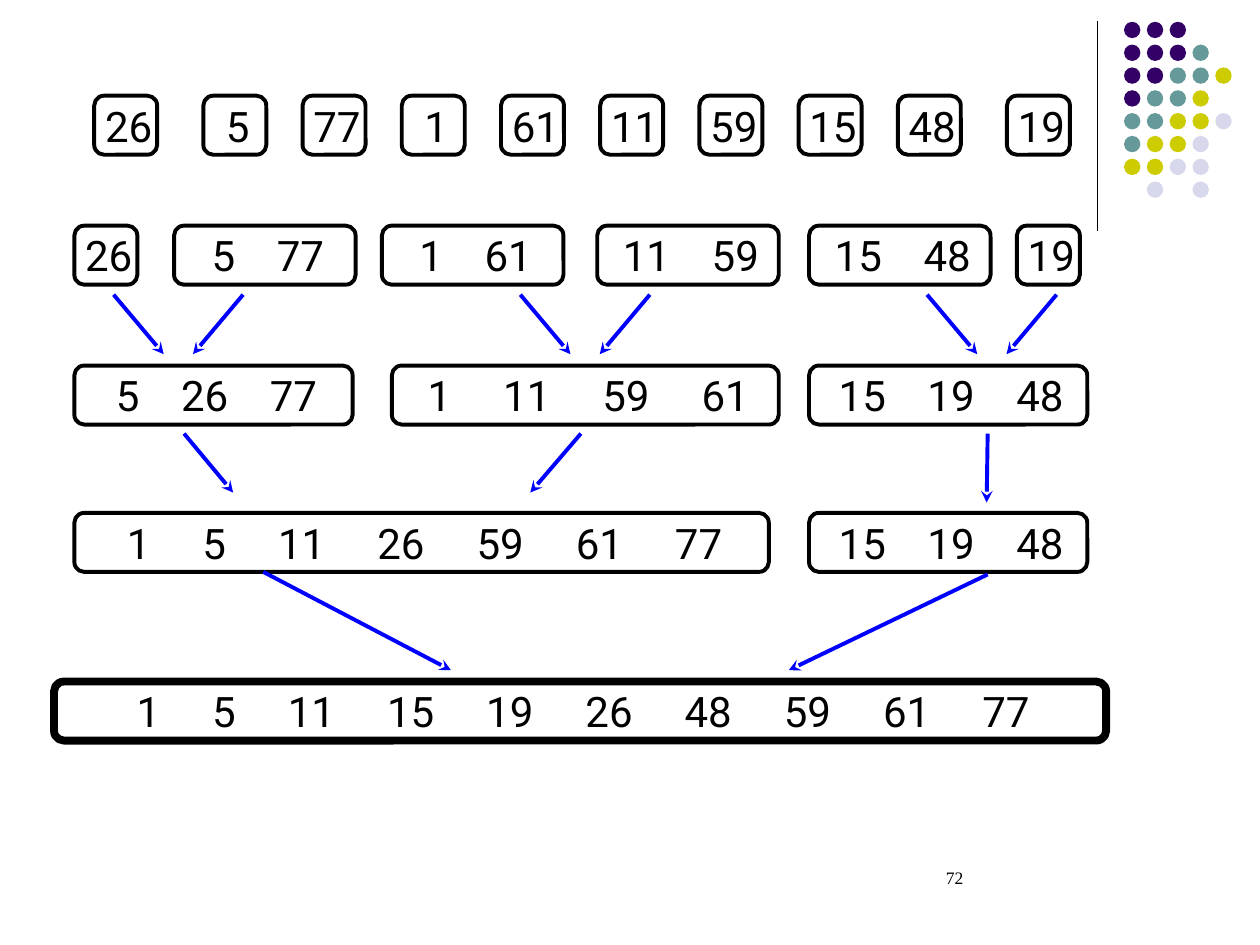
from lxml import etree
from pptx import Presentation
from pptx import util as u
from pptx.dml.color import RGBColor
from pptx.enum import shapes, text
from pptx.oxml.ns import qn

DIGIT, SPACE = 0.475, 0.21  # advance widths in cm of Roboto at 24 pt
BOX_HEIGHT = 1.19


def color(value):
    return RGBColor.from_string(value)


def add_line(start, end, line_color, width, arrow=False):
    line = slide.shapes.add_connector(
        shapes.MSO_CONNECTOR.STRAIGHT, *(u.Cm(v) for v in start + end))
    line.line.color.rgb = color(line_color)
    line.line.width = u.Pt(width)
    if arrow:
        etree.SubElement(line.line._get_or_add_ln(), qn("a:tailEnd"), type="stealth")
    etree.SubElement(line._element.spPr, qn("a:effectLst"))


presentation = Presentation()
presentation.slide_width = u.Cm(25.4)
presentation.slide_height = u.Cm(19.05)
slide = presentation.slides.add_slide(presentation.slide_layouts[6])

# Corner decoration: a rule and a grid of dots
add_line((22.12, 0.43), (22.12, 4.65), "000000", 0.75)
dot_colors = {"P": "330066", "T": "669999", "Y": "CCCC00", "L": "D8D8EC"}
dot_rows = ["PPP", "PPPT", "PPTTY", "PTTY", "TTYYL", "TYYL", "YYLL", " L L"]
for row, letters in enumerate(dot_rows):
    for column, letter in enumerate(letters):
        if letter == " ":
            continue
        dot = slide.shapes.add_shape(
            shapes.MSO_SHAPE.OVAL, u.Cm(22.66 + 0.46 * column),
            u.Cm(0.44 + 0.46 * row), u.Cm(0.33), u.Cm(0.33))
        dot.shadow.inherit = False
        dot.fill.solid()
        dot.fill.fore_color.rgb = color(dot_colors[letter])
        dot.line.fill.background()

# Sorted runs: left, top, width, numbers, spaces between numbers, line width
values = [26, 5, 77, 1, 61, 11, 59, 15, 48, 19]
lefts = [1.9] + [4.1 + 2 * i for i in range(8)] + [20.3]
boxes = [(left, 1.93, 1.27, [value], 0, 2.25) for left, value in zip(lefts, values)]
boxes += [
    (1.5, 4.55, 1.27, [26], 0, 2.25),
    (3.51, 4.55, 3.66, [5, 77], 4, 2.25),
    (7.7, 4.55, 3.66, [1, 61], 4, 2.25),
    (12.04, 4.55, 3.66, [11, 59], 4, 2.25),
    (16.31, 4.55, 3.66, [15, 48], 4, 2.25),
    (20.5, 4.55, 1.27, [19], 0, 2.25),
    (1.5, 7.37, 5.61, [5, 26, 77], 4, 2.25),
    (7.9, 7.37, 7.8, [1, 11, 59, 61], 5, 2.25),
    (16.31, 7.37, 5.61, [15, 19, 48], 4, 2.25),
    (1.5, 10.34, 14, [1, 5, 11, 26, 59, 61, 77], 5, 2.25),
    (16.31, 10.34, 5.61, [15, 19, 48], 4, 2.25),
    (1.09, 13.74, 21.21, sorted(values), 5, 4.5),
]
for left, top, width, numbers, spaces, line_width in boxes:
    box = slide.shapes.add_shape(
        shapes.MSO_SHAPE.ROUNDED_RECTANGLE,
        u.Cm(left), u.Cm(top), u.Cm(width), u.Cm(BOX_HEIGHT))
    box.shadow.inherit = False
    box.fill.background()
    box.line.color.rgb = color("000000")
    box.line.width = u.Pt(line_width)

    # Each number starts at a tab stop; the inset centres the whole row
    words = [str(number) for number in numbers]
    starts, end = [], 0
    for word in words:
        starts.append(end)
        end += len(word) * DIGIT + spaces * SPACE
    row_width = end - spaces * SPACE
    frame = box.text_frame
    frame.word_wrap = True
    frame.vertical_anchor = text.MSO_ANCHOR.MIDDLE
    frame.margin_left = u.Cm((width - row_width) / 2)
    frame.margin_right = 0
    paragraph = frame.paragraphs[0]
    paragraph.alignment = text.PP_ALIGN.LEFT
    if len(words) > 1:
        tabs = etree.SubElement(paragraph._p.get_or_add_pPr(), qn("a:tabLst"))
        for start in starts[1:]:
            etree.SubElement(tabs, qn("a:tab"), pos=str(u.Cm(start)), algn="l")
    run = paragraph.add_run()
    run.text = "\t".join(words)
    run.font.name = "Roboto"
    run.font.size = u.Pt(24)
    run.font.color.rgb = color("000000")

# Merge arrows
arrows = []
for offset in (0, 8.2, 16.4):
    arrows.append(((2.29 + offset, 5.94), (3.3 + offset, 7.14)))
    arrows.append(((4.9 + offset, 5.94), (3.89 + offset, 7.14)))
arrows += [
    ((3.71, 8.74), (4.7, 9.93)),
    ((11.71, 8.74), (10.69, 9.93)),
    ((19.91, 8.74), (19.89, 10.13)),
    ((5.31, 11.53), (9.09, 13.51)),
    ((19.91, 11.58), (15.9, 13.51)),
]
for start, end in arrows:
    add_line(start, end, "0000FF", 2.25, arrow=True)

# Page number
page_box = slide.shapes.add_textbox(u.Cm(18.21), u.Cm(17.35), u.Cm(5.92), u.Cm(1.27))
page_box.text_frame.word_wrap = True
page_box.text_frame.margin_left = u.Cm(0.86)
run = page_box.text_frame.paragraphs[0].add_run()
run.text = "72"
run.font.name = "Times New Roman"
run.font.size = u.Pt(10)
run.font.color.rgb = color("000000")

presentation.save("out.pptx")
